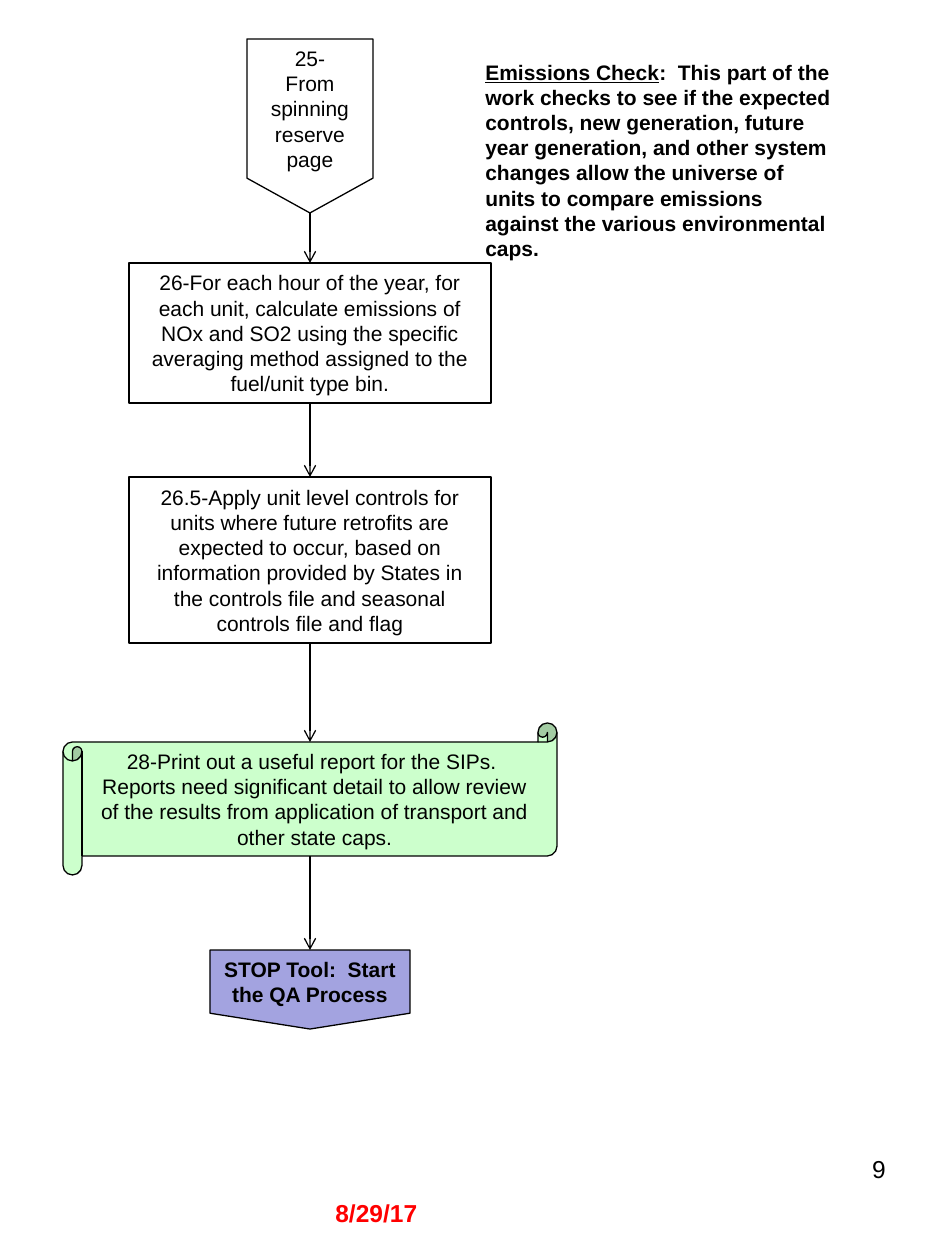
from lxml import etree
from pptx import Presentation
from pptx.dml.color import RGBColor
from pptx.enum.shapes import MSO_CONNECTOR, MSO_SHAPE
from pptx.enum.text import MSO_ANCHOR, PP_ALIGN
from pptx.oxml.ns import qn
from pptx.util import Pt

PX = 914400 / 126
BLACK = RGBColor(0x00, 0x00, 0x00)
RED = RGBColor(0xFF, 0x00, 0x00)
GREEN = RGBColor(0xCC, 0xFF, 0xCC)
VIOLET = RGBColor(0xA3, 0xA3, 0xE0)

OFFPAGE = MSO_SHAPE.FLOWCHART_OFFPAGE_CONNECTOR
PROCESS = MSO_SHAPE.FLOWCHART_PROCESS
RECT = MSO_SHAPE.RECTANGLE
SCROLL = MSO_SHAPE.HORIZONTAL_SCROLL
STRAIGHT = MSO_CONNECTOR.STRAIGHT
TOP, MIDDLE = MSO_ANCHOR.TOP, MSO_ANCHOR.MIDDLE
LEFT, CENTER, RIGHT = PP_ALIGN.LEFT, PP_ALIGN.CENTER, PP_ALIGN.RIGHT
SITE_TOP, SITE_BOTTOM = 0, 2
SCROLL_ROLL = 19

# kind, top, width, height, fill, bold, paragraphs
STEPS = [
    (OFFPAGE, 0, 126, 174, None, False, ["25-", "From spinning reserve page"]),
    (PROCESS, 224, 362, 140, None, False, [
        "26-For each hour of the year, for each unit, calculate emissions of",
        "NOx and SO2 using the specific averaging method assigned to the "
        "fuel/unit type bin."]),
    (RECT, 438, 362, 166, None, False, [
        "26.5-Apply unit level controls for units where future retrofits are "
        "expected to occur, based on information provided by States in the "
        "controls file and seasonal controls file and flag"]),
    (SCROLL, 684, 494, 152, GREEN, False, [
        "28-Print out a useful report for the SIPs.  Reports need significant "
        "detail to allow review of the results from application of transport "
        "and other state caps."]),
    (OFFPAGE, 911, 200, 79, VIOLET, True, ["STOP Tool:  Start the QA Process"]),
]


def px(*values):
    return [round(v * PX) for v in values]


def write(tf, paragraphs, align, anchor, **font):
    """Fill a text frame; each paragraph is a list of (text, extra format) runs."""
    tf.word_wrap = True
    tf.vertical_anchor = anchor
    for i, runs in enumerate(paragraphs):
        p = tf.add_paragraph() if i else tf.paragraphs[0]
        p.alignment = align
        for text, extra in runs:
            r = p.add_run()
            r.text = text
            look = {"name": "Arial", "size": Pt(12), "bold": False, **font, **extra}
            color = look.pop("color", BLACK)
            for key, value in look.items():
                setattr(r.font, key, value)
            r.font.color.rgb = color


def add_text(s, box, runs, align=LEFT, **font):
    sp = s.shapes.add_textbox(*px(*box))
    write(sp.text_frame, [runs], align, TOP, **font)


def add_step(s, box, kind, fill, bold, paragraphs):
    sp = s.shapes.add_shape(kind, *px(*box))
    sp.shadow.inherit = False
    if fill is None:
        sp.fill.background()
    else:
        sp.fill.solid()
        sp.fill.fore_color.rgb = fill
    sp.line.color.rgb = BLACK
    sp.line.width = Pt(0.75)
    write(sp.text_frame, [[(t, {})] for t in paragraphs], CENTER, MIDDLE, bold=bold)
    return sp


def add_arrow(s, x, upper, lower):
    """Join two steps; a scroll is met at its sheet, inside its rolled ends."""
    upper_scroll, lower_scroll = (
        sp.auto_shape_type == SCROLL for sp in (upper, lower))
    x, roll = px(x, SCROLL_ROLL)
    start = upper.top + upper.height - (roll if upper_scroll else 0)
    end = lower.top + (roll if lower_scroll else 0)
    line = s.shapes.add_connector(STRAIGHT, x, start, x, end)
    if not upper_scroll:
        line.begin_connect(upper, SITE_BOTTOM)
    if not lower_scroll:
        line.end_connect(lower, SITE_TOP)
    line.line.color.rgb = BLACK
    line.line.width = Pt(0.75)
    etree.SubElement(line.line._get_or_add_ln(), qn("a:tailEnd"), type="arrow")
    etree.SubElement(line._element.spPr, qn("a:effectLst"))


def add_flow(s, box):
    """Stack the steps on the centre line of the box and link them downwards."""
    left, top, width, _ = box
    center = left + width // 2
    steps = [
        add_step(s, (center - w // 2, top + y, w, h), kind, fill, bold, paragraphs)
        for kind, y, w, h, fill, bold, paragraphs in STEPS
    ]
    for upper, lower in zip(steps, steps[1:]):
        add_arrow(s, center, upper, lower)


def add_footer(s, box):
    left, top, width, height = box
    add_text(s, (left, top + 44, 300, 43), [("8/29/17", {})],
             size=Pt(14), bold=True, color=RED)
    add_text(s, (left + width - 220, top, 220, height), [("9", {})],
             align=RIGHT, size=Pt(14))


def main():
    prs = Presentation()
    prs.slide_width, prs.slide_height = px(945, 1260)
    s = prs.slides.add_slide(prs.slide_layouts[6])
    add_text(s, (473, 53, 378, 217), [
        ("Emissions Check", {"underline": True}),
        (":  This part of the work checks to see if the expected controls, new "
         "generation, future year generation, and other system changes allow the "
         "universe of units to compare emissions against the various "
         "environmental caps.", {}),
    ], bold=True)
    add_flow(s, (63, 39, 494, 990))
    add_footer(s, (323, 1148, 575, 87))
    prs.save("out.pptx")


if __name__ == "__main__":
    main()
